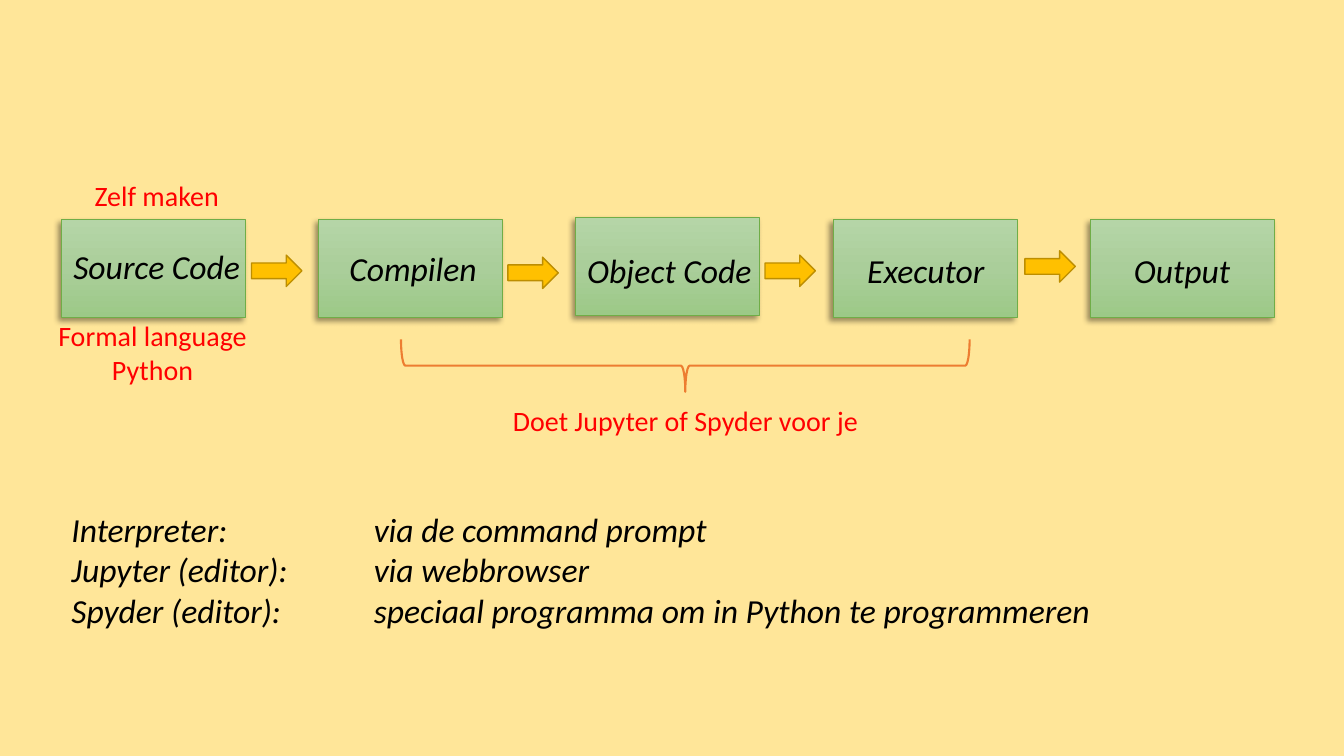
"""Build a slide showing the steps from source code to output."""
from copy import deepcopy
from typing import NamedTuple

from lxml.etree import SubElement
from pptx import Presentation
from pptx.dml.color import RGBColor
from pptx.enum.shapes import MSO_SHAPE
from pptx.enum.text import MSO_AUTO_SIZE, PP_ALIGN
from pptx.oxml.ns import qn
from pptx.shapes.autoshape import Shape
from pptx.util import Cm, Pt

COLORS = {
    "background": "FFE699",
    "step_top": "B5D5A7",
    "step_middle": "AACE9A",
    "step_bottom": "9CC987",
    "step_line": "70AD47",
    "arrow": "FFC000",
    "arrow_line": "BD8E00",
    "brace": "ED7D31",
    "remark": "FF0000",
    "text": "000000",
    "shadow": "000000",
}
FONT = "Calibri"
STEP_LEFT, STEP_PITCH, LABEL_PITCH = 1.55, 6.48, 6.46
TAB_STOPS = (5.08, 7.62)


class Box(NamedTuple):
    left: float
    top: float
    width: float
    height: float


class Step(NamedTuple):
    name: str
    top: float
    label_top: float


class Arrow(NamedTuple):
    left: float
    top: float


class Remark(NamedTuple):
    wording: str
    box: Box


STEPS = [
    Step("Source Code", 5.54, 6.07),
    Step("Compilen", 5.54, 6.12),
    Step("Object Code", 5.49, 6.17),
    Step("Executor", 5.54, 6.17),
    Step("Output", 5.54, 6.17),
]
ARROWS = [Arrow(6.34, 6.43), Arrow(12.8, 6.48), Arrow(19.28, 6.43), Arrow(25.83, 6.32)]
REMARKS = [
    Remark("Zelf maken", Box(1.55, 4.37, 4.8, 1.12)),
    Remark("Formal language Python", Box(0.58, 7.9, 6.53, 1.96)),
    Remark("Doet Jupyter of Spyder voor je", Box(11.38, 10.05, 11.79, 1.12)),
]
TOOLS = "\n".join([
    "Interpreter: \t\tvia de command prompt",
    "Jupyter (editor): \tvia webbrowser",
    "Spyder (editor): \tspeciaal programma om in Python te programmeren",
])


def rgb(name: str) -> RGBColor:
    return RGBColor.from_string(COLORS[name])


def add_outlined(kind: MSO_SHAPE, box: Box, line: str, weight: float) -> Shape:
    shape = slide.shapes.add_shape(kind, *map(Cm, box))
    shape.shadow.inherit = False
    shape.line.color.rgb = rgb(line)
    shape.line.width = Pt(weight)
    return shape


def add_step(box: Box) -> None:
    step = add_outlined(MSO_SHAPE.RECTANGLE, box, "step_line", 0.5)
    step.fill.gradient()
    step.fill.gradient_angle = 270
    properties = step._element.spPr
    stop_list = properties.find(qn("a:gradFill")).find(qn("a:gsLst"))
    stop_list.insert(1, deepcopy(stop_list[0]))
    shades = ("step_top", "step_middle", "step_bottom")
    for stop, shade, position in zip(step.fill.gradient_stops, shades, (0, 0.5, 1)):
        stop.color.rgb = rgb(shade)
        stop.position = position
    shadow = SubElement(
        properties.find(qn("a:effectLst")), qn("a:outerShdw"),
        blurRad=str(Pt(4)), dist=str(Pt(3)), dir="8100000", algn="tr", rotWithShape="0",
    )
    shade = SubElement(shadow, qn("a:srgbClr"), val=COLORS["shadow"])
    SubElement(shade, qn("a:alpha"), val="40000")


def add_arrow(box: Box) -> None:
    arrow = add_outlined(MSO_SHAPE.RIGHT_ARROW, box, "arrow_line", 1)
    arrow.fill.solid()
    arrow.fill.fore_color.rgb = rgb("arrow")


def add_text(wording: str, box: Box, size: int, color: str, italic: bool,
             align: PP_ALIGN = PP_ALIGN.CENTER, tab_stops: tuple[float, ...] = ()) -> None:
    frame = slide.shapes.add_textbox(*map(Cm, box)).text_frame
    frame.word_wrap = True
    frame.auto_size = MSO_AUTO_SIZE.SHAPE_TO_FIT_TEXT
    frame.text = wording
    for paragraph in frame.paragraphs:
        paragraph.alignment = align
        if tab_stops:
            tabs = SubElement(paragraph._p.get_or_add_pPr(), qn("a:tabLst"))
            for position in tab_stops:
                SubElement(tabs, qn("a:tab"), pos=str(Cm(position)), algn="l")
        for run in paragraph.runs:
            run.font.name = FONT
            run.font.size = Pt(size)
            run.font.italic = italic
            run.font.color.rgb = rgb(color)


presentation = Presentation()
presentation.slide_width, presentation.slide_height = Cm(33.87), Cm(19.05)
slide = presentation.slides.add_slide(presentation.slide_layouts[6])
slide.background.fill.solid()
slide.background.fill.fore_color.rgb = rgb("background")

for index, step in enumerate(STEPS):
    add_step(Box(STEP_LEFT + index * STEP_PITCH, step.top, 4.64, 2.46))
    label_box = Box(STEP_LEFT + index * LABEL_PITCH, step.label_top, 4.8, 1.27)
    add_text(step.name, label_box, 24, "text", True)

for arrow in ARROWS:
    add_arrow(Box(arrow.left, arrow.top, 1.27, 0.79))

brace = add_outlined(MSO_SHAPE.RIGHT_BRACE, Box(16.61, 2.05, 1.32, 14.33), "brace", 1.5)
brace.fill.background()
brace.rotation = 90

for remark in REMARKS:
    add_text(remark.wording, remark.box, 20, "remark", False)
add_text(TOOLS, Box(1.55, 12.7, 27.2, 3.33), 24, "text", True, PP_ALIGN.LEFT, TAB_STOPS)

presentation.save("out.pptx")
